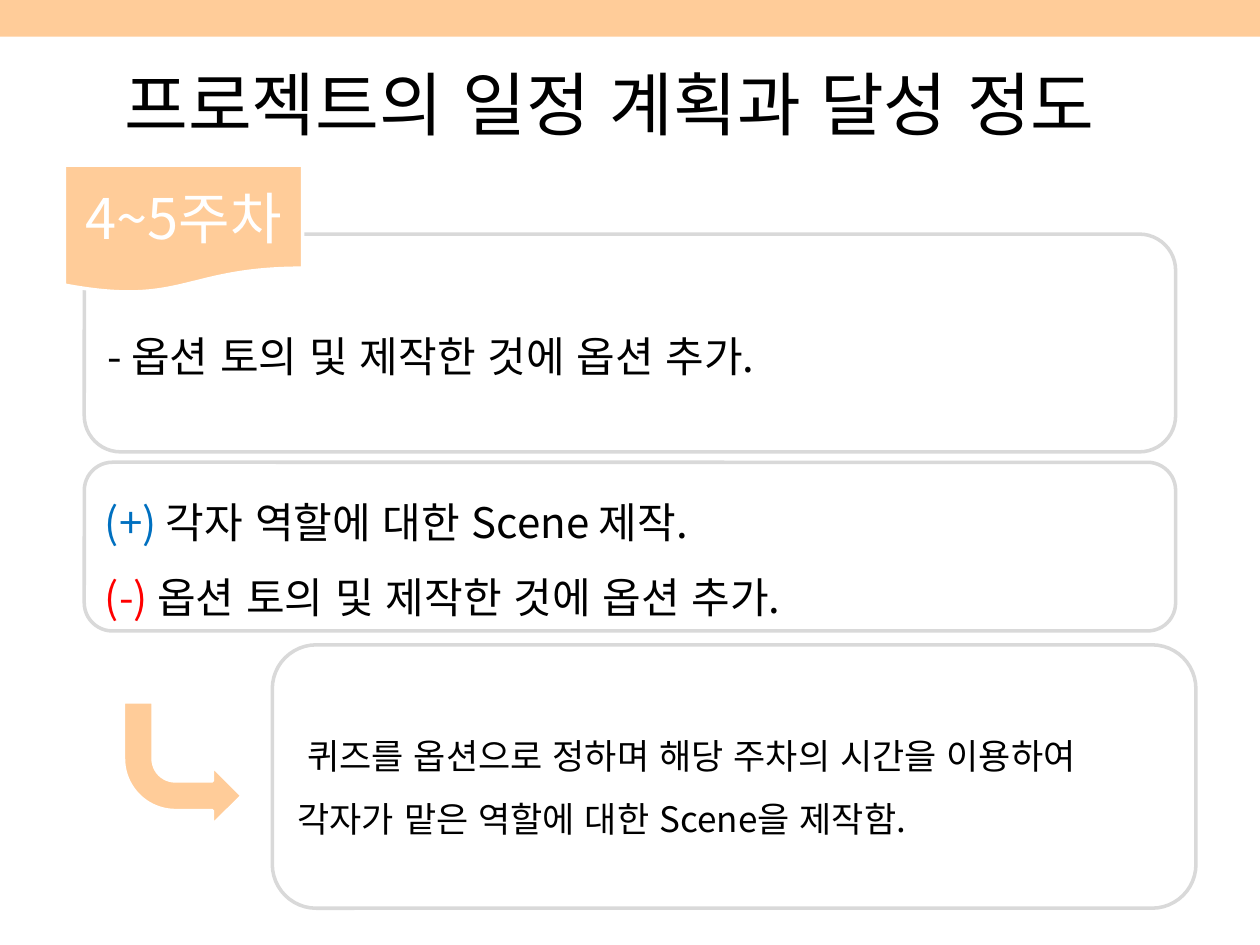
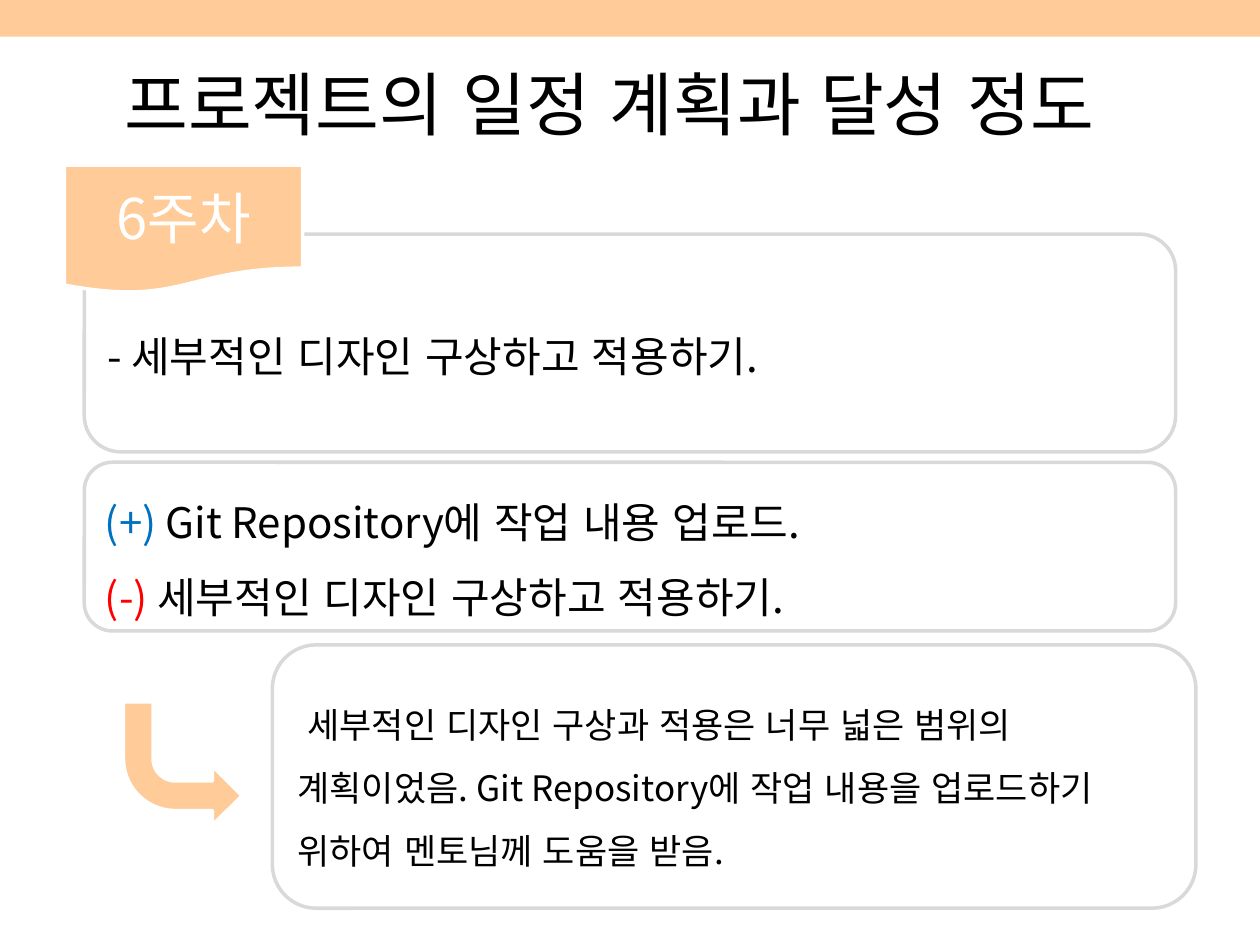
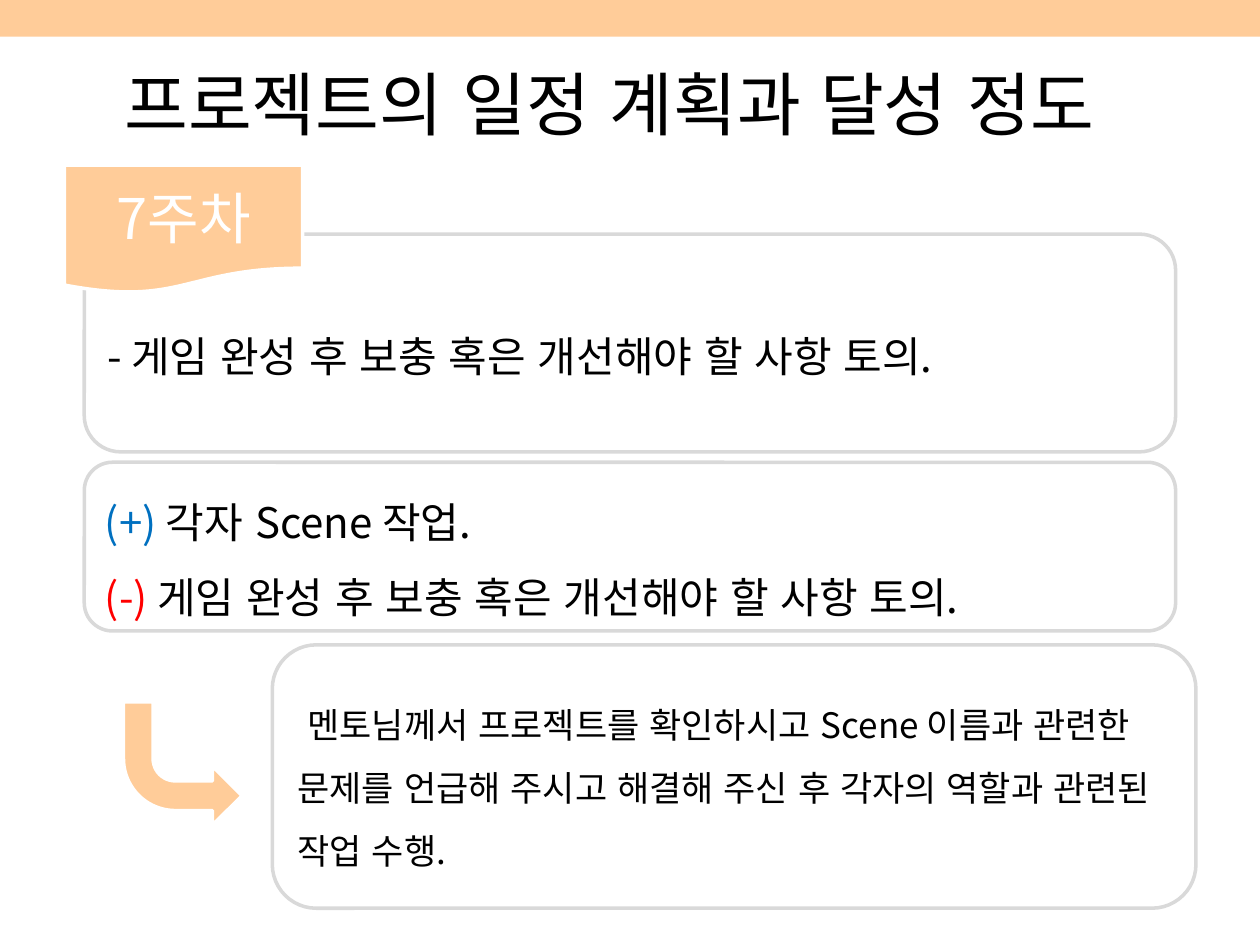
from dataclasses import dataclass
from typing import NamedTuple

from lxml.etree import SubElement
from pptx import Presentation
from pptx.dml.color import RGBColor
from pptx.enum.lang import MSO_LANGUAGE_ID as Language
from pptx.enum.shapes import MSO_SHAPE as Preset
from pptx.enum.text import MSO_ANCHOR as Anchor, PP_ALIGN as Align
from pptx.oxml.ns import qn
from pptx.shapes.autoshape import Shape
from pptx.slide import Slide
from pptx.util import Cm, Pt

FONT = "Noto Sans CJK KR"
TITLE = "프로젝트의 일정 계획과 달성 정도"
COLORS = {
    "peach": "FFCC99",
    "white": "FFFFFF",
    "black": "000000",
    "grey": "D9D9D9",
    "plus": "0070C0",
    "minus": "FF0000",
}


class Area(NamedTuple):
    """Left, top, width and height in centimetres."""

    left: float
    top: float
    width: float
    height: float


class Span(NamedTuple):
    """A piece of text in one colour."""

    text: str
    color: str = "black"


@dataclass(frozen=True)
class Week:
    """The plan, the work done and the explanation for one period."""

    label: str
    plan: str
    done: str
    reason: str


BAND = Area(0, 0, 25.4, 0.74)
HEADING = Area(2.26, 1.17, 22.25, 1.8)
PLAN = Area(1.7, 4.72, 22, 4.39)
LABEL = Area(1.3, 3.33, 4.8, 2.59)
RESULT = Area(1.7, 9.32, 22, 3.4)
REASON = Area(5.49, 13, 18.62, 5.31)
ARROW = Area(2.49, 14.15, 2.39, 2.49)

WEEKS = [
    Week(
        "4~5주차",
        "옵션 토의 및 제작한 것에 옵션 추가.",
        "각자 역할에 대한 Scene 제작.",
        " 퀴즈를 옵션으로 정하며 해당 주차의 시간을 이용하여 "
        "각자가 맡은 역할에 대한 Scene을 제작함.",
    ),
    Week(
        "6주차",
        "세부적인 디자인 구상하고 적용하기.",
        "Git Repository에 작업 내용 업로드.",
        " 세부적인 디자인 구상과 적용은 너무 넓은 범위의 계획이었음. "
        "Git Repository에 작업 내용을 업로드하기 위하여 멘토님께 도움을 받음.",
    ),
    Week(
        "7주차",
        "게임 완성 후 보충 혹은 개선해야 할 사항 토의.",
        "각자 Scene 작업.",
        " 멘토님께서 프로젝트를 확인하시고 Scene 이름과 관련한 문제를 "
        "언급해 주시고 해결해 주신 후 각자의 역할과 관련된 작업 수행.",
    ),
]


def rgb(name: str) -> RGBColor:
    """Look up a named colour."""
    return RGBColor.from_string(COLORS[name])


def lengths(area: Area) -> list[Cm]:
    """Convert an area to slide lengths."""
    return [Cm(value) for value in area]


def write(box: Shape, *lines: list[Span], size: float,
          align: Align = Align.LEFT, spacing: float = 1.0) -> None:
    """Fill a box with one paragraph per line of spans."""
    frame = box.text_frame
    frame.word_wrap = True
    frame.vertical_anchor = Anchor.MIDDLE
    for index, line in enumerate(lines):
        para = frame.add_paragraph() if index else frame.paragraphs[0]
        para.alignment = align
        para.line_spacing = spacing
        for span in line:
            run = para.add_run()
            run.text = span.text
            font = run.font
            font.size = Pt(size)
            font.color.rgb = rgb(span.color)
            font.name = FONT
            font.language_id = Language.KOREAN
            SubElement(run._r.get_or_add_rPr(), qn("a:ea"), typeface=FONT)


def add_box(page: Slide, preset: Preset, area: Area, fill: str,
            line: str | None = None) -> Shape:
    """Draw a flat preset shape with an optional outline."""
    box = page.shapes.add_shape(preset, *lengths(area))
    box.shadow.inherit = False
    box.fill.solid()
    box.fill.fore_color.rgb = rgb(fill)
    if line:
        box.line.color.rgb = rgb(line)
        box.line.width = Pt(2)
    else:
        box.line.fill.background()
    return box


def add_panel(page: Slide, area: Area, *lines: list[Span], size: float) -> None:
    """Draw a rounded white panel with its text."""
    panel = add_box(page, Preset.ROUNDED_RECTANGLE, area, "white", "grey")
    write(panel, *lines, size=size, spacing=1.5)


def add_frame(page: Slide) -> None:
    """Draw the top band and the title that every page shares."""
    add_box(page, Preset.RECTANGLE, BAND, "peach")
    heading = page.shapes.add_textbox(*lengths(HEADING))
    write(heading, [Span(TITLE)], size=39.6)


def add_week(page: Slide, week: Week) -> None:
    """Draw the panels, label and arrow of one period."""
    add_panel(page, PLAN, [Span(f"- {week.plan}")], size=24)
    label = add_box(page, Preset.FLOWCHART_DOCUMENT, LABEL, "peach", "white")
    write(label, [Span(week.label, "white")], size=32, align=Align.CENTER)
    add_panel(
        page, RESULT,
        [Span("(+) ", "plus"), Span(week.done)],
        [Span("(-) ", "minus"), Span(week.plan)],
        size=24,
    )
    add_panel(page, REASON, [Span(week.reason)], size=20)
    arrow = add_box(page, Preset.BENT_ARROW, ARROW, "peach", "white")
    arrow.element.spPr.find(qn("a:xfrm")).set("flipV", "1")


def main() -> None:
    """Build and save the deck."""
    deck = Presentation()
    deck.slide_width, deck.slide_height = Cm(25.4), Cm(19.05)
    for week in WEEKS:
        page = deck.slides.add_slide(deck.slide_layouts[6])
        add_frame(page)
        add_week(page, week)
    deck.save("out.pptx")


main()
